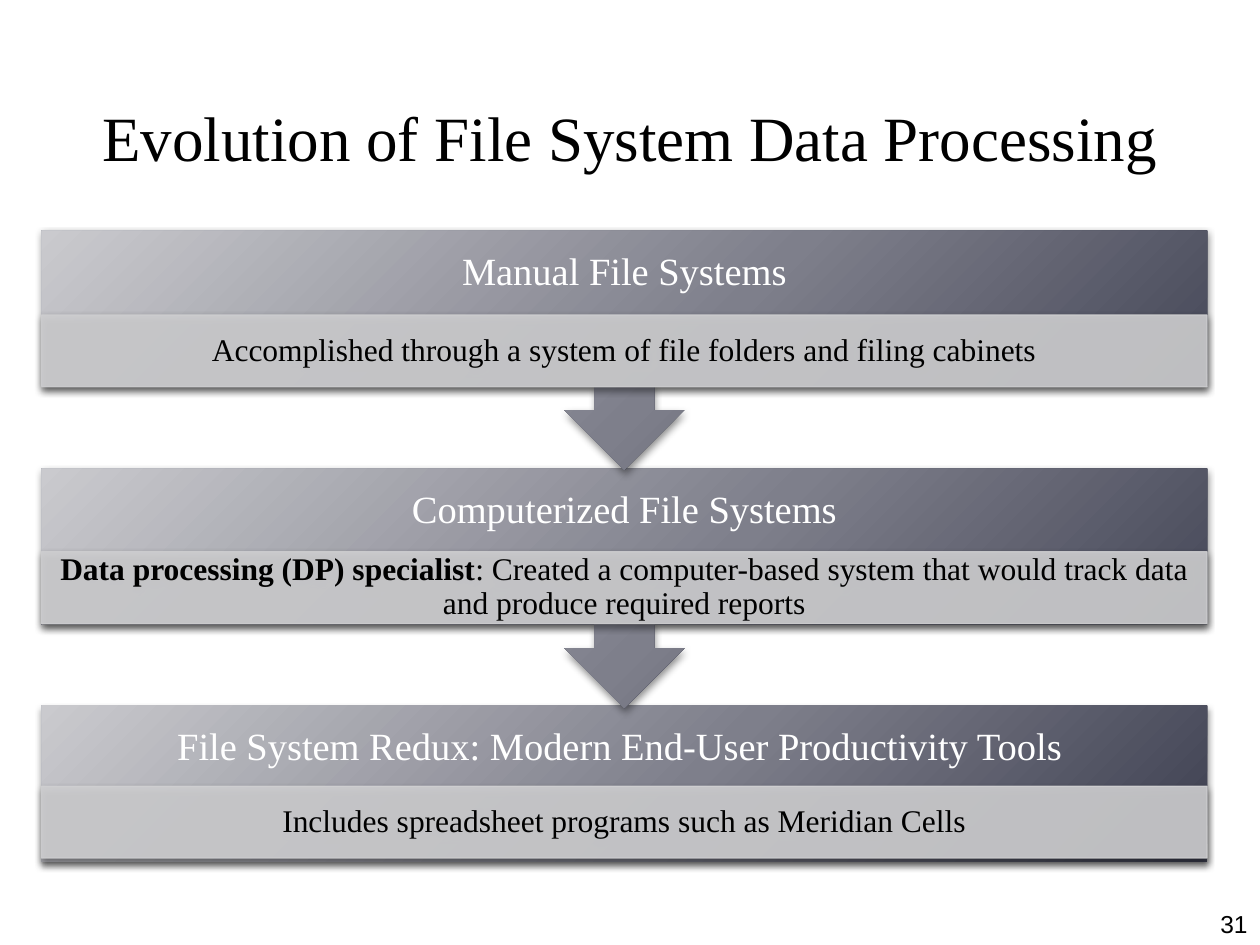
import dataclasses

import pptx
import pptx.dml.color
import pptx.enum.shapes
import pptx.enum.text
import pptx.oxml
import pptx.oxml.ns
import pptx.util

Inches = pptx.util.Inches
Pt = pptx.util.Pt
Shapes = pptx.enum.shapes.MSO_SHAPE
Align = pptx.enum.text.PP_ALIGN
Anchor = pptx.enum.text.MSO_ANCHOR


@dataclasses.dataclass(frozen=True)
class Theme:
    serif: str = "Times New Roman"
    sans: str = "Arial"
    black: str = "000000"
    white: str = "FFFFFF"
    detail_fill: str = "CFCFD1"
    stage_gradient: tuple = ((0, "CACACE"), (55, "7E7F8B"), (100, "3D3F50"))
    title_size: int = 36
    heading_size: int = 22
    detail_size: int = 18
    number_size: int = 14


class SlideBuilder:
    def __init__(self, slide, theme):
        self.slide = slide
        self.theme = theme

    def fill_text(self, shape, runs, size, color, font=None, align=Align.CENTER,
                  anchor=Anchor.MIDDLE, margins=(0.1, 0.05), spacing=1.0):
        frame = shape.text_frame
        frame.word_wrap = True
        frame.vertical_anchor = anchor
        frame.margin_left = frame.margin_right = Inches(margins[0])
        frame.margin_top = frame.margin_bottom = Inches(margins[1])
        paragraph = frame.paragraphs[0]
        paragraph.alignment = align
        paragraph.line_spacing = spacing
        for text, bold in runs:
            run = paragraph.add_run()
            run.text = text
            run.font.name = font or self.theme.serif
            run.font.size = Pt(size)
            run.font.bold = bold
            run.font.color.rgb = pptx.dml.color.RGBColor.from_string(color)

    def text(self, box, text, size, color, **style):
        shape = self.slide.shapes.add_textbox(*map(Inches, box))
        self.fill_text(shape, [(text, False)], size, color, **style)

    def shadowed_shape(self, kind, box):
        shape = self.slide.shapes.add_shape(kind, *map(Inches, box))
        shape.line.fill.background()
        shape.shadow.inherit = False
        effects = shape._element.spPr.find(pptx.oxml.ns.qn("a:effectLst"))
        effects.append(pptx.oxml.parse_xml(
            f'<a:outerShdw {pptx.oxml.ns.nsdecls("a")} blurRad="{Pt(4)}" '
            f'dist="{Pt(2)}" dir="5400000" rotWithShape="0">'
            f'<a:srgbClr val="{self.theme.black}"><a:alpha val="45000"/>'
            '</a:srgbClr></a:outerShdw>'))
        return shape

    def stage(self, kind, box):
        shape = self.shadowed_shape(kind, box)
        stops = "".join(
            f'<a:gs pos="{position * 1000}"><a:srgbClr val="{color}"/></a:gs>'
            for position, color in self.theme.stage_gradient)
        geometry = shape._element.spPr.find(pptx.oxml.ns.qn("a:prstGeom"))
        geometry.addnext(pptx.oxml.parse_xml(
            f'<a:gradFill {pptx.oxml.ns.nsdecls("a")} rotWithShape="1">'
            f'<a:gsLst>{stops}</a:gsLst><a:path path="circle">'
            '<a:fillToRect l="-40000" t="-90000" r="140000" b="190000"/>'
            '</a:path></a:gradFill>'))

    def detail(self, box, runs):
        shape = self.shadowed_shape(Shapes.RECTANGLE, box)
        shape.line.width = Pt(0.75)
        for fill in (shape.fill, shape.line.fill):
            fill.solid()
            fill.fore_color.rgb = pptx.dml.color.RGBColor.from_string(
                self.theme.detail_fill)
        for color in shape._element.spPr.findall(
                ".//" + pptx.oxml.ns.qn("a:solidFill") + "/"
                + pptx.oxml.ns.qn("a:srgbClr")):
            color.append(pptx.oxml.parse_xml(
                f'<a:alpha {pptx.oxml.ns.nsdecls("a")} val="90000"/>'))
        self.fill_text(shape, runs, self.theme.detail_size, self.theme.black,
                       margins=(0.14, 0.03), spacing=0.9)


def main():
    presentation = pptx.Presentation()
    presentation.slide_width = Inches(10)
    presentation.slide_height = Inches(7.5)
    slide = presentation.slides.add_slide(presentation.slide_layouts[6])
    theme = Theme()
    builder = SlideBuilder(slide, theme)

    builder.text((0.5, 0.5, 9, 1.17), "Evolution of File System Data Processing",
                 theme.title_size, theme.black)

    left, width = 0.33, 9.25
    callout = (Shapes.DOWN_ARROW_CALLOUT, 1.9)
    plain = (Shapes.RECTANGLE, 1.24)
    stages = [
        (*plain, 5.6, 6.24,
         "File System Redux: Modern End-User Productivity Tools ",
         [("Includes spreadsheet programs such as Meridian Cells", False)]),
        (*callout, 3.72, 4.38, "Computerized File Systems",
         [("Data processing (DP) specialist", True),
          (": Created a computer-based system that would track data "
           "and produce required reports", False)]),
        (*callout, 1.83, 2.5, "Manual File Systems",
         [("Accomplished through a system of file folders and filing cabinets",
           False)]),
    ]
    for kind, height, top, detail_top, heading, detail_runs in stages:
        builder.stage(kind, (left, top, width, height))
        builder.text((left, top, width, 0.67), heading, theme.heading_size,
                     theme.white, margins=(0.17, 0.17), spacing=0.9)
        builder.detail((left, detail_top, width, 0.57), detail_runs)

    builder.text((9.5, 7.17, 0.5, 0.33), "31", theme.number_size, theme.black,
                 font=theme.sans, align=Align.RIGHT, anchor=Anchor.BOTTOM)
    presentation.save("out.pptx")


if __name__ == "__main__":
    main()
